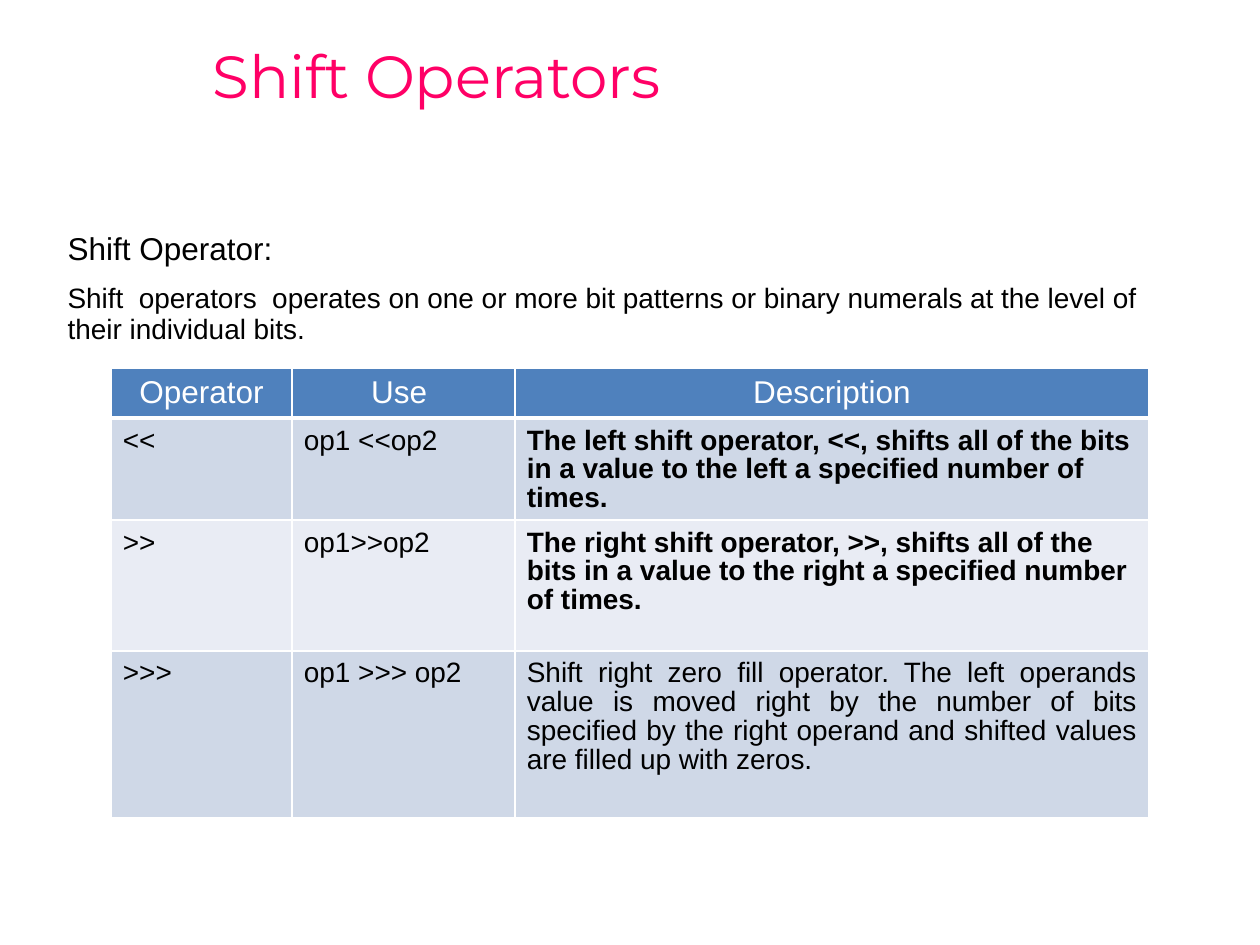
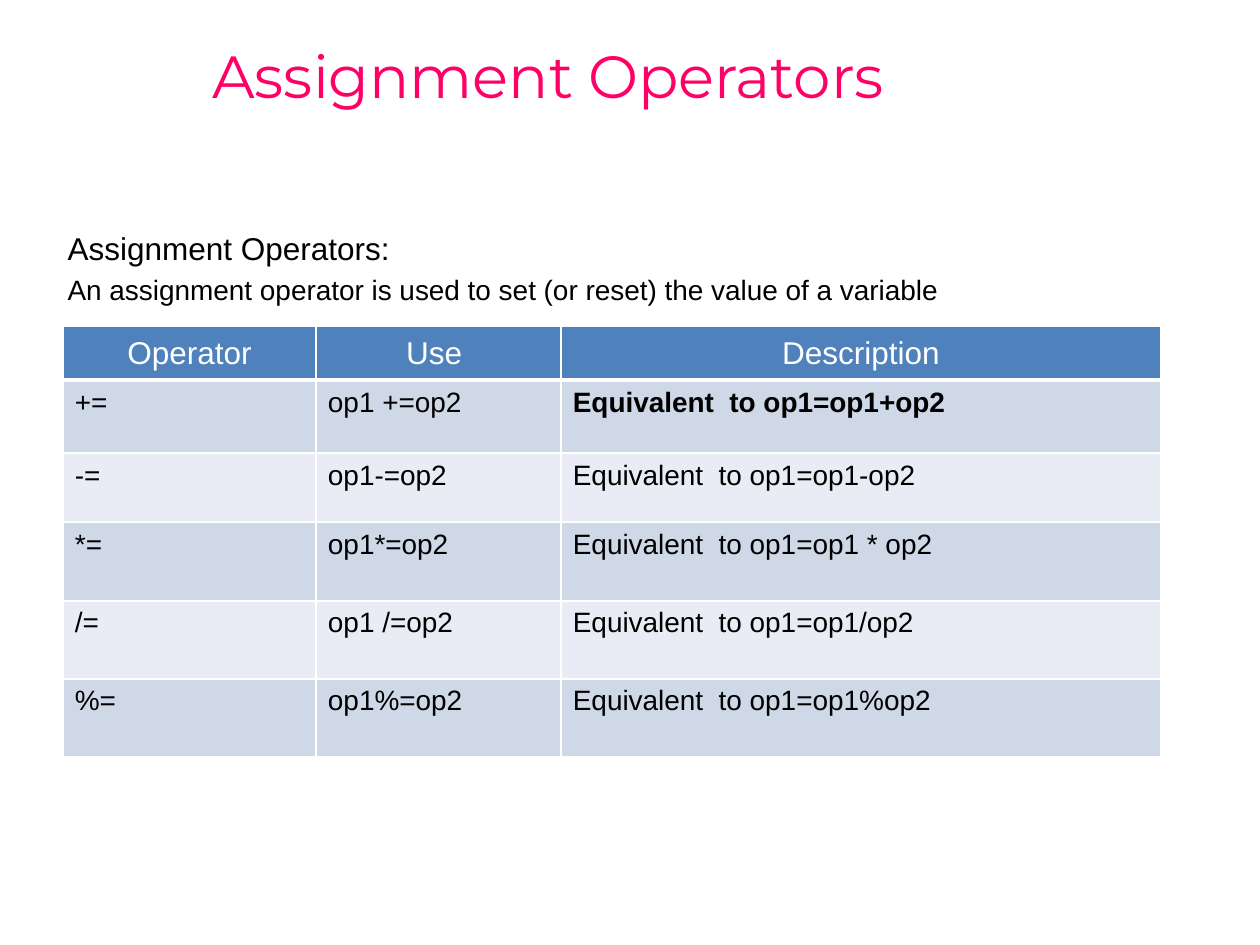
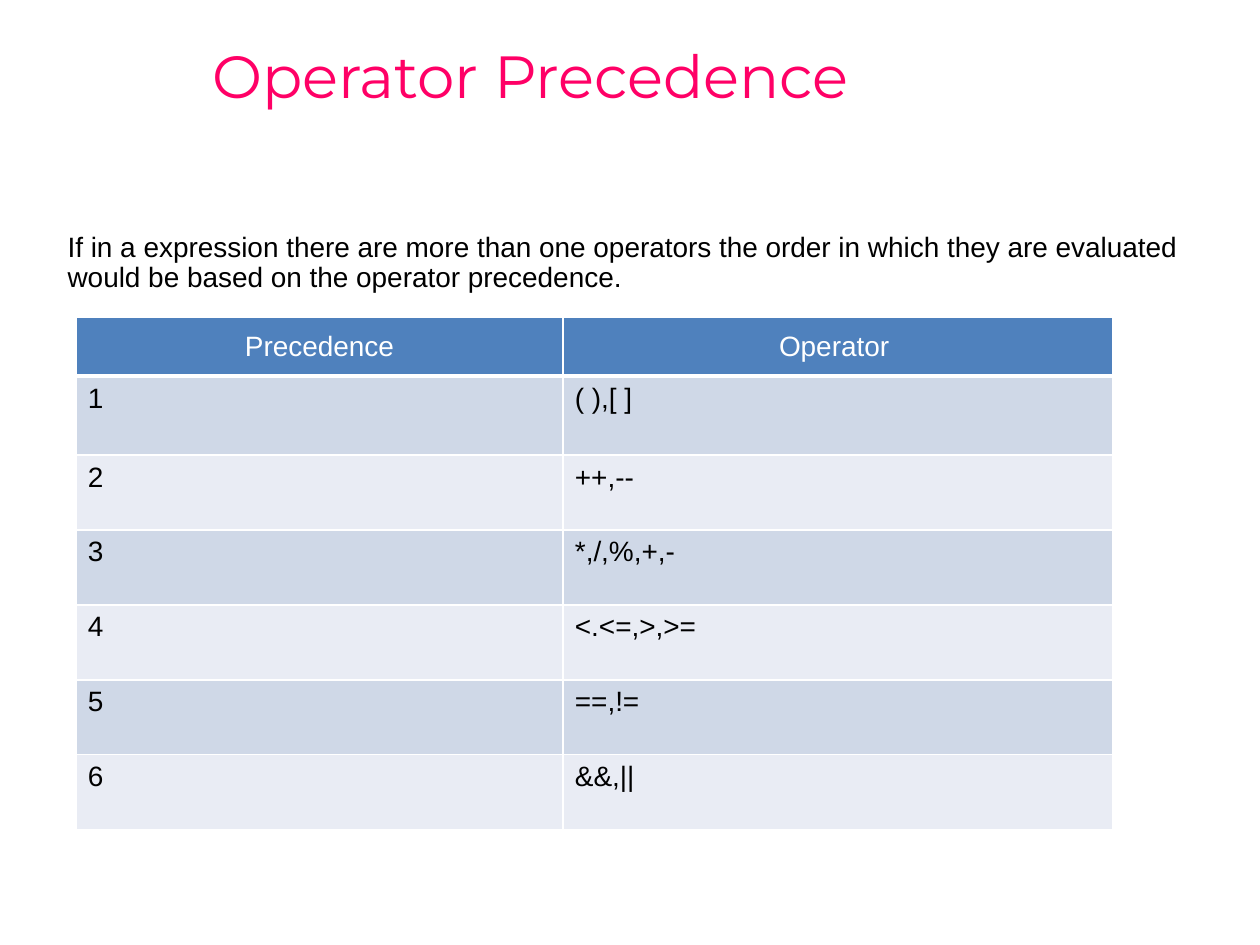
from pptx import Presentation
from pptx.dml.color import RGBColor
from pptx.enum.text import MSO_ANCHOR, MSO_AUTO_SIZE, PP_ALIGN
from pptx.oxml.ns import qn
from pptx.util import Emu, Pt
from lxml.etree import SubElement


def px(n):
    """Turn px into EMU, at 126 px to the inch."""
    return Emu(round(n * 914400 / 126))


def rgb(value):
    return RGBColor.from_string(value)


class Deck:
    PINK, BLACK, WHITE = "FF0066", "000000", "FFFFFF"
    HEAD, BANDS = "4F81BD", ("E9ECF4", "CFD8E7")
    TITLE_FONT, FONT = "Montserrat", "Arial"
    THIN, THICK = 0.91, 2.95

    def __init__(self):
        self.prs = Presentation()
        self.prs.slide_width, self.prs.slide_height = px(1260), px(945)
        self.s = None

    def slide(self, title):
        self.s = self.prs.slides.add_slide(self.prs.slide_layouts[1])
        tf = self.place(self.s.shapes.title, 200, 1, 1060, 156)
        tf.vertical_anchor = MSO_ANCHOR.MIDDLE
        p = tf.paragraphs[0]
        p.alignment, p.line_spacing = PP_ALIGN.LEFT, 0.9
        self.run(p, title, 34, self.PINK, self.TITLE_FONT)

    def place(self, sp, left, top, width, height):
        sp.left, sp.top, sp.width, sp.height = map(px, (left, top, width, height))
        tf = sp.text_frame
        tf.word_wrap, tf.auto_size = True, MSO_AUTO_SIZE.NONE
        return tf

    def run(self, p, text, size, color, font=FONT, bold=False):
        r = p.add_run()
        r.text = text
        r.font.size, r.font.name, r.font.bold = Pt(size), font, bold
        r.font.color.rgb = rgb(color)

    def body(self, *items):
        """Each item is (text, size, space before, level)."""
        tf = self.place(self.s.placeholders[1], 55, 227, 1142, 605)
        for i, (text, size, before, level) in enumerate(items):
            p = tf.add_paragraph() if i else tf.paragraphs[0]
            p.level, p.line_spacing, p.space_before = level, 0.9, Pt(before)
            pPr = p._p.get_or_add_pPr()
            pPr.set("marL", "0")
            pPr.set("indent", "0")
            SubElement(pPr, qn("a:buNone"))
            self.run(p, text, size, self.BLACK)

    def table(self, left, top, cols, heights, rows, head_size=18,
              head_anchor=MSO_ANCHOR.MIDDLE, bold=(), justified=()):
        """Draw rows of text; bold and justified hold (row, column) pairs."""
        frame = self.s.shapes.add_table(len(rows), len(cols), px(left), px(top),
                                        px(sum(cols)), px(sum(heights)))
        tbl = frame.table
        tbl.first_row = tbl.horz_banding = False
        for col, width in zip(tbl.columns, cols):
            col.width = px(width)
        for row, height in zip(tbl.rows, heights):
            row.height = px(height)
        for i, texts in enumerate(rows):
            for j, text in enumerate(texts):
                cell = tbl.cell(i, j)
                self.style_cell(cell, i, head_anchor)
                p = cell.text_frame.paragraphs[0]
                p.line_spacing = 0.93
                if i == 0:
                    p.alignment = PP_ALIGN.CENTER
                    self.run(p, text, head_size, self.WHITE)
                else:
                    p.alignment = (PP_ALIGN.JUSTIFY if (i, j) in justified
                                   else PP_ALIGN.LEFT)
                    self.run(p, text, 16, self.BLACK, bold=(i, j) in bold)

    def style_cell(self, cell, row, head_anchor):
        cell.margin_left = cell.margin_right = px(12)
        cell.margin_top, cell.margin_bottom = px(9), px(6)
        cell.vertical_anchor = MSO_ANCHOR.TOP if row else head_anchor
        # Borders come before the fill; a thick line parts header and rows
        tcPr = cell._tc.get_or_add_tcPr()
        widths = {"lnL": self.THIN, "lnR": self.THIN,
                  "lnT": self.THICK if row == 1 else self.THIN,
                  "lnB": self.THICK if row == 0 else self.THIN}
        for tag, width in widths.items():
            ln = SubElement(tcPr, qn("a:" + tag), w=str(Pt(width)))
            fill = SubElement(ln, qn("a:solidFill"))
            SubElement(fill, qn("a:srgbClr"), val=self.WHITE)
        cell.fill.solid()
        cell.fill.fore_color.rgb = rgb(self.BANDS[row % 2] if row else self.HEAD)


def main():
    deck = Deck()
    head = ("Operator", "Use ", "Description")

    # Shift operators
    deck.slide("Shift Operators")
    deck.body(
        ("Shift Operator:", 18, 10, 0),
        ("Shift  operators  operates on one or more bit patterns or binary "
         "numerals at the level of their individual bits.", 16, 10, 0))
    deck.table(111, 368, (181, 223, 634), (50, 102, 131, 167), (
        head,
        ("<<", "op1 <<op2", "The left shift operator, <<, shifts all of the bits "
         "in a value to the left a specified number of times."),
        (">>", "op1>>op2", "The right shift operator, >>, shifts all of the bits "
         "in a value to the right a specified number of times."),
        (">>>", "op1 >>> op2", "Shift right zero fill operator. The left operands "
         "value is moved right by the number of bits specified by the right "
         "operand and shifted values are filled up with zeros. "),
    ), head_anchor=MSO_ANCHOR.TOP, bold=((1, 2), (2, 2)), justified=((3, 2),))

    # Assignment operators
    deck.slide("Assignment Operators")
    deck.body(
        ("Assignment Operators:", 18, 10, 0),
        ("An assignment operator is used to set (or reset) the value of a variable",
         16, 5, 1))
    deck.table(63, 326, (253, 245, 600), (54, 73, 69, 79, 78, 78), (
        head,
        ("+=", "op1 +=op2", "Equivalent  to op1=op1+op2"),
        ("-=", "op1-=op2", "Equivalent  to op1=op1-op2"),
        ("*=", "op1*=op2", "Equivalent  to op1=op1 * op2"),
        ("/=", "op1 /=op2", "Equivalent  to op1=op1/op2"),
        ("%=", "op1%=op2", "Equivalent  to op1=op1%op2"),
    ), bold=((1, 2),))

    # Operator precedence
    deck.slide("Operator Precedence")
    deck.body(
        ("If in a expression there are more than one operators the order in which "
         "they are evaluated would be based on the operator precedence.", 16, 10, 0))
    groups = ("( ),[ ]", "++,--", "*,/,%,+,-", "<.<=,>,>=", "==,!=", "&&,||")
    ranked = [(str(n), group) for n, group in enumerate(groups, 1)]
    deck.table(76, 317, (487, 550), (59, 79) + (75,) * 5,
               [("Precedence", "Operator "), *ranked], head_size=16)

    deck.prs.save("out.pptx")


if __name__ == "__main__":
    main()
